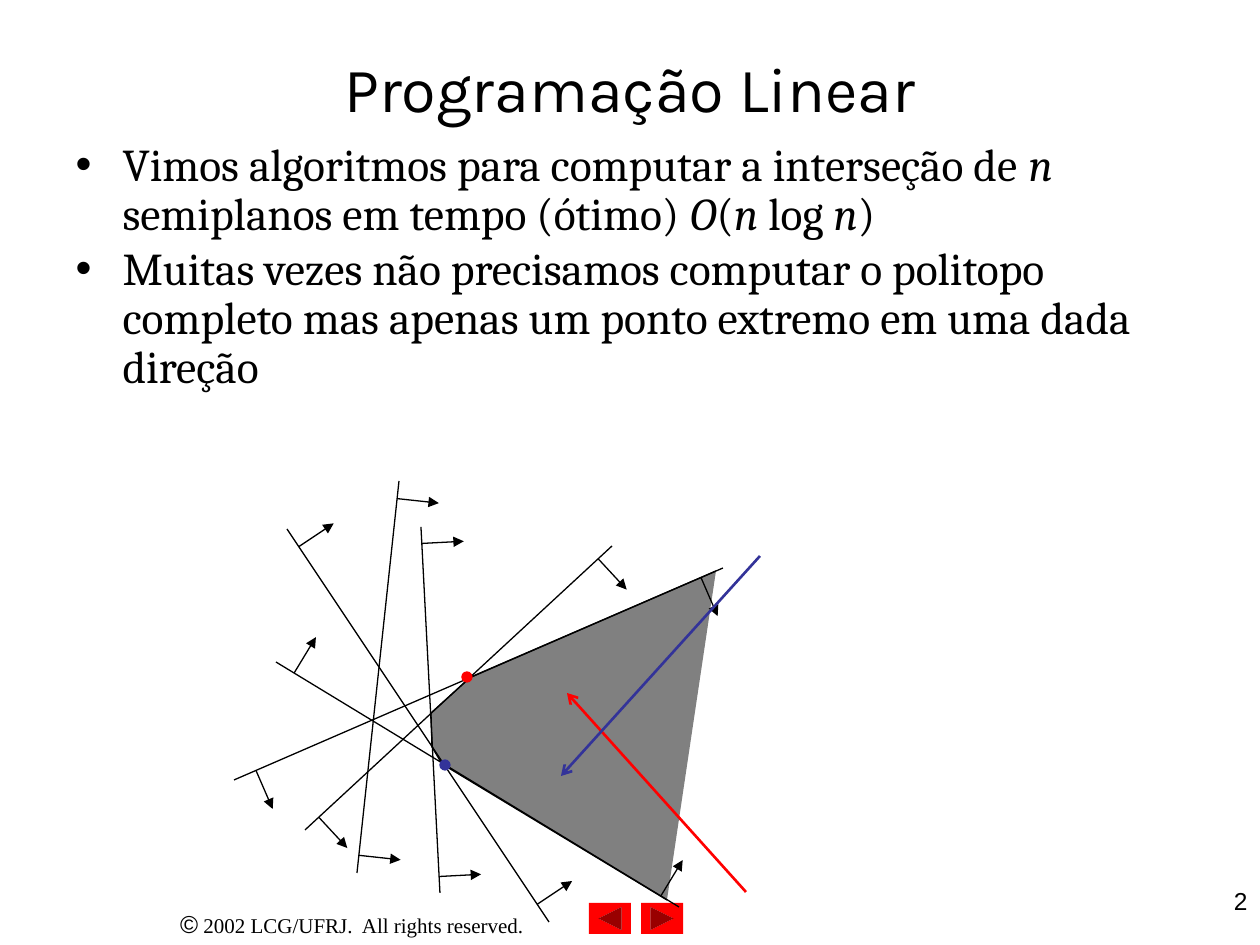
from lxml import etree
from pptx import Presentation
from pptx.dml.color import RGBColor
from pptx.enum.shapes import MSO_CONNECTOR, MSO_SHAPE
from pptx.enum.text import MSO_ANCHOR, MSO_AUTO_SIZE, PP_ALIGN
from pptx.oxml.ns import qn
from pptx.util import Pt
from math import hypot

STRAIGHT = MSO_CONNECTOR.STRAIGHT
OVAL, BUTTON = MSO_SHAPE.OVAL, MSO_SHAPE.ACTION_BUTTON_FORWARD_OR_NEXT
LEFT, CENTER, RIGHT = PP_ALIGN.LEFT, PP_ALIGN.CENTER, PP_ALIGN.RIGHT
TOP, MIDDLE = MSO_ANCHOR.TOP, MSO_ANCHOR.MIDDLE
BLACK = RGBColor(0, 0, 0)
GRAY = RGBColor(0x80, 0x80, 0x80)
RED = RGBColor(0xFF, 0, 0)
BLUE = RGBColor(0x33, 0x33, 0x99)
PX = 914400 / 126
THIN, THICK = 0.74, 1.5

prs = Presentation()
prs.slide_width, prs.slide_height = round(1260 * PX), round(945 * PX)
s = prs.slides.add_slide(prs.slide_layouts[1])


def add_line(start, end, color=BLACK, width=THIN, head=None):
    """Draw a straight line between two pixel points, with an optional arrowhead."""
    c = s.shapes.add_connector(STRAIGHT, *[round(v * PX) for v in (*start, *end)])
    c.line.color.rgb = color
    c.line.width = Pt(width)
    if head:
        etree.SubElement(c.line._get_or_add_ln(), qn("a:tailEnd"), type=head)
    etree.SubElement(c._element.spPr, qn("a:effectLst"))


def write_text(sp, box, paragraphs, align=LEFT, anchor=TOP):
    """Place a text shape and fill it with paragraphs of (text, font values) runs."""
    sp.left, sp.top, sp.width, sp.height = [round(v * PX) for v in box]
    tf = sp.text_frame
    tf.word_wrap = True
    tf.auto_size = MSO_AUTO_SIZE.NONE
    tf.vertical_anchor = anchor
    for i, runs in enumerate(paragraphs):
        p = tf.add_paragraph() if i else tf.paragraphs[0]
        p.alignment = align
        for text, font in runs:
            r = p.add_run()
            r.text = text
            r.font.color.rgb = BLACK
            for name, value in font.items():
                setattr(r.font, name, value)


# Title and bullets
title_font = {"name": "Karla", "size": Pt(36)}
body_font = {"name": "Cambria", "size": Pt(26)}
math_font = {**body_font, "italic": True}
arial = {"name": "Arial", "size": Pt(14)}
times = {"name": "Times New Roman", "size": Pt(12)}

write_text(s.shapes.title, (63, 38, 1134, 98),
           [[("Programação Linear", title_font)]], CENTER, MIDDLE)
body = s.placeholders[1]
write_text(body, (63, 136, 1144, 284), [
    [("Vimos algoritmos para computar a interseção de ", body_font),
     ("n", math_font),
     (" semiplanos em tempo (ótimo) ", body_font),
     ("O", math_font), ("(", body_font), ("n", math_font),
     (" log ", body_font), ("n", math_font), (")", body_font)],
    [("Muitas vezes não precisamos computar o politopo completo mas apenas "
      "um ponto extremo em uma dada direção", body_font)],
])
indent = round(47 * PX)
for p in body.text_frame.paragraphs:
    p.line_spacing = 0.9
    p.space_before = Pt(3.3)
    pPr = p._p.get_or_add_pPr()
    pPr.set("marL", str(indent))
    pPr.set("indent", str(-indent))
    etree.SubElement(pPr, qn("a:buFont"), typeface="Arial")
    etree.SubElement(pPr, qn("a:buChar"), char="•")

# Footer, page number and navigation buttons
footer = s.shapes.add_textbox(0, 0, 0, 0)
write_text(footer, (105, 903, 494, 43),
           [[("©", arial), (" 2002 LCG/UFRJ.  All rights reserved.", times)]], CENTER)
page = s.shapes.add_textbox(0, 0, 0, 0)
write_text(page, (1134, 880, 126, 65), [[("2", arial)]], RIGHT)
for left, rotation in ((641, 0), (589, 180)):
    button = s.shapes.add_shape(BUTTON, *[round(v * PX) for v in (left, 903, 42, 31)])
    button.rotation = rotation
    button.shadow.inherit = False
    button.fill.solid()
    button.fill.fore_color.rgb = RED
    button.line.fill.background()

# Feasible region
corners = [(716, 571), (471, 677), (431, 713), (432, 747), (442, 764), (667, 900)]
builder = s.shapes.build_freeform(*corners[0], scale=PX)
builder.add_line_segments(corners[1:], close=False)
region = builder.convert_to_shape()
region.shadow.inherit = False
region.fill.solid()
region.fill.fore_color.rgb = GRAY
region.line.color.rgb = BLACK
region.line.width = Pt(THIN)

# Half-planes: a border and two normals near its ends
NORMAL, INSET = 42, 0.045
borders = [
    ((287, 529), (549, 922)), ((421, 527), (440, 893)), ((612, 546), (305, 830)),
    ((399, 481), (357, 873)), ((276, 662), (679, 907)), ((723, 568), (234, 780)),
]
for (x1, y1), (x2, y2) in borders:
    add_line((x1, y1), (x2, y2))
    dx, dy = x2 - x1, y2 - y1
    length = hypot(dx, dy)
    for t in (INSET, 1 - INSET):
        x, y = x1 + t * dx, y1 + t * dy
        tip = (x + NORMAL * dy / length, y - NORMAL * dx / length)
        add_line((x, y), tip, head="triangle")

# Directions and their extreme points
DOT = 10
for start, end, dot, color in (
    ((746, 892), (567, 693), (462, 672), RED),
    ((760, 556), (561, 776), (440, 760), BLUE),
):
    add_line(start, end, color, THICK, "arrow")
    point = s.shapes.add_shape(OVAL, *[round(v * PX) for v in (*dot, DOT, DOT)])
    point.shadow.inherit = False
    point.fill.solid()
    point.fill.fore_color.rgb = color
    point.line.color.rgb = color
    point.line.width = Pt(THIN)

prs.save("out.pptx")
